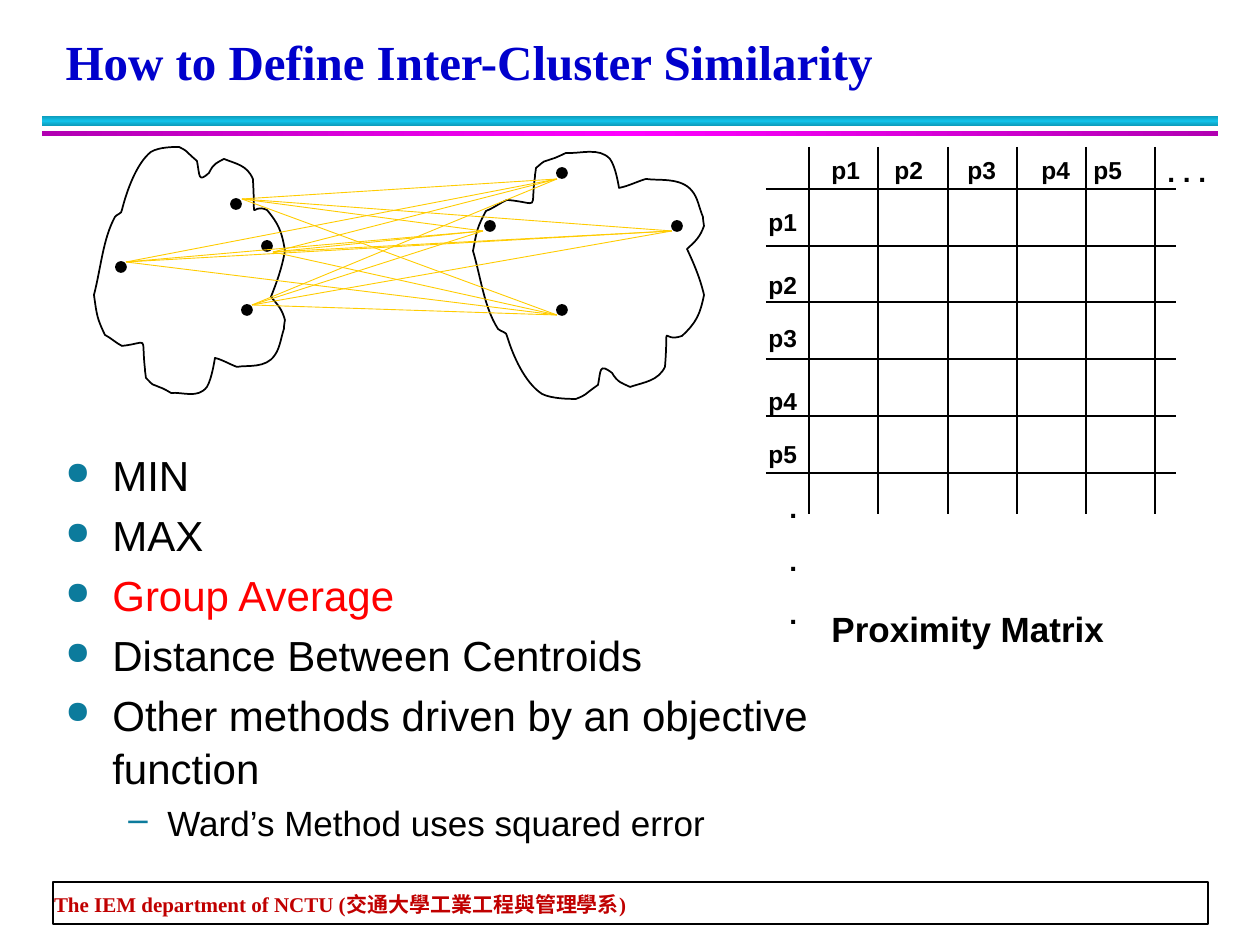
from copy import deepcopy
from dataclasses import dataclass
from itertools import product
from typing import NamedTuple

from lxml import etree
from pptx import Presentation
from pptx.dml.color import RGBColor
from pptx.enum.shapes import MSO_CONNECTOR, MSO_SHAPE
from pptx.enum.text import MSO_ANCHOR, PP_ALIGN
from pptx.oxml.ns import qn
from pptx.util import Pt

EMU_PER_PX = 914400 / 126
STRAIGHT, RECTANGLE, OVAL = MSO_CONNECTOR.STRAIGHT, MSO_SHAPE.RECTANGLE, MSO_SHAPE.OVAL
BOTTOM, LEFT = MSO_ANCHOR.BOTTOM, PP_ALIGN.LEFT
TITLE_ONLY = 5


class Style(NamedTuple):
    size: int
    color: str = "000000"
    bold: bool = True
    font: str = "Arial"


@dataclass(frozen=True)
class Theme:
    ink: str = "000000"
    paper: str = "FFFFFF"
    bullet: str = "0C7B9C"
    link: str = "FFCC00"
    cyan: tuple = ("0E9BBA", "12C2E9", "0E9BBA")
    magenta: tuple = ("B200B2", "FF00FF", "B200B2")
    title: Style = Style(28, "0000CC", font="Times New Roman")
    footer: Style = Style(12, "C00000", font="Times New Roman")
    body: Style = Style(24, bold=False)
    highlight: Style = Style(24, "FF0000", bold=False)
    sub: Style = Style(20, bold=False)
    caption: Style = Style(20)
    dots: Style = Style(16)
    label: Style = Style(14)
    leading: float = 1.05


THEME = Theme()


class Box(NamedTuple):
    left: int
    top: int
    width: int
    height: int


class BulletLevel(NamedTuple):
    char: str
    margin: int
    hanging: int
    percent: int


class Bullet(NamedTuple):
    text: str
    style: Style = THEME.body
    level: int = 0


BULLET_LEVELS = (BulletLevel("●", 47, 47, 75), BulletLevel("–", 102, 39, 100))
METHODS = (Bullet("MIN"), Bullet("MAX"), Bullet("Group Average", THEME.highlight),
           Bullet("Distance Between Centroids"),
           Bullet("Other methods driven by an objective function"),
           Bullet("Ward’s Method uses squared error", THEME.sub, 1))

# Start point, then three points (two controls and an end) for each curve.
CLUSTER_OUTLINE = (
    (115, 217), (103, 239), (101, 268), (94, 295), (97, 316), (97, 318), (105, 335),
    (111, 338), (116, 343), (122, 346), (150, 343), (141, 334), (145, 369), (145, 373),
    (146, 375), (146, 378), (155, 387), (150, 383), (159, 387), (163, 388), (171, 393),
    (171, 393), (183, 392), (198, 399), (207, 387), (212, 379), (215, 358), (215, 358),
    (223, 360), (229, 364), (237, 367), (247, 365), (266, 369), (275, 355), (280, 348),
    (281, 338), (284, 329), (284, 326), (285, 320), (285, 320), (282, 309), (278, 305),
    (271, 297), (277, 282), (282, 268), (285, 251), (282, 231), (278, 223), (267, 210),
    (249, 202), (256, 229), (253, 179), (247, 165), (236, 164), (224, 159), (217, 163),
    (214, 163), (209, 173), (198, 183), (200, 176), (197, 161), (183, 149), (189, 152),
    (179, 147), (174, 147), (159, 147), (151, 152), (137, 163), (127, 190), (122, 210),
    (122, 214), (117, 214), (115, 217))
POINT_CENTERS = ((247, 310), (236, 204), (121, 267), (267, 246),
                 (677, 226), (490, 226), (562, 310), (562, 173))
LINK_STARTS = ((252, 305), (273, 252), (126, 262), (242, 199))
LINK_ENDS = ((557, 315), (483, 231), (557, 179), (672, 231))
COLUMN_LABELS = (819, 882, 955, 1029, 1081)
ROW_LABELS = (199, 262, 315, 378, 431)


def px(value: float) -> int:
    return round(value * EMU_PER_PX)


def add_run(paragraph, text: str, style: Style) -> None:
    run = paragraph.add_run()
    run.text = text
    run.font.name, run.font.size, run.font.bold = style.font, Pt(style.size), style.bold
    run.font.color.rgb = RGBColor.from_string(style.color)


def add_frame(slide, box: Box):
    frame = slide.shapes.add_textbox(*map(px, box)).text_frame
    frame.word_wrap = True
    return frame


def next_paragraph(frame, index: int, space_before: int):
    paragraph = frame.add_paragraph() if index else frame.paragraphs[0]
    paragraph.line_spacing = THEME.leading
    paragraph.space_before = Pt(space_before if index else 0)
    return paragraph


def add_text(slide, box: Box, style: Style, *lines: str) -> None:
    frame = add_frame(slide, box)
    for index, line in enumerate(lines):
        add_run(next_paragraph(frame, index, 10), line, style)


def add_line(slide, start: tuple, end: tuple, color: str = THEME.ink, width: float = 1) -> None:
    line = slide.shapes.add_connector(STRAIGHT, *map(px, start + end))
    line.line.color.rgb, line.line.width = RGBColor.from_string(color), Pt(width)
    etree.SubElement(line._element.spPr, qn("a:effectLst"))


def outline_shape(shape) -> None:
    shape.shadow.inherit = False
    shape.line.color.rgb, shape.line.width = RGBColor.from_string(THEME.ink), Pt(1)


def add_solid(slide, kind, box: Box, fill: str) -> None:
    shape = slide.shapes.add_shape(kind, *map(px, box))
    outline_shape(shape)
    shape.fill.solid()
    shape.fill.fore_color.rgb = RGBColor.from_string(fill)


def add_gradient_bar(slide, box: Box, colors: tuple, angle: int) -> None:
    bar = slide.shapes.add_shape(RECTANGLE, *map(px, box))
    bar.shadow.inherit = False
    bar.line.fill.background()
    bar.fill.gradient()
    bar.fill.gradient_angle = angle
    stops = bar._element.spPr.find(".//" + qn("a:gsLst"))
    stops.insert(1, deepcopy(stops[0]))
    for stop, color, position in zip(bar.fill.gradient_stops, colors, (0, 0.5, 1)):
        stop.color.rgb, stop.position = RGBColor.from_string(color), position


def add_cluster(slide, outline: list) -> None:
    """Draw a closed outline, turning each three segments into one Bezier curve."""
    builder = slide.shapes.build_freeform(*outline[0], scale=EMU_PER_PX)
    builder.add_line_segments(outline[1:], close=True)
    cluster = builder.convert_to_shape()
    outline_shape(cluster)
    cluster.fill.background()
    segments = list(cluster._element.iter(qn("a:lnTo")))
    for triple in zip(segments[::3], segments[1::3], segments[2::3]):
        curve = etree.Element(qn("a:cubicBezTo"))
        triple[0].addprevious(curve)
        for segment in triple:
            curve.append(segment[0])
            segment.getparent().remove(segment)


def add_title_and_footer(slide) -> None:
    title = slide.shapes.title
    title.left, title.top, title.width, title.height = map(px, Box(53, 21, 1142, 76))
    add_solid(slide, RECTANGLE, Box(53, 882, 1155, 42), THEME.paper)
    footer = add_frame(slide, Box(54, 882, 1153, 35))
    footer.margin_left = footer.margin_right = footer.margin_top = footer.margin_bottom = 0
    for frame, text, style, leading in (
            (title.text_frame, "How to Define Inter-Cluster Similarity", THEME.title, 36),
            (footer, "The IEM department of NCTU (交通大學工業工程與管理學系)", THEME.footer, 20)):
        frame.word_wrap, frame.vertical_anchor = True, BOTTOM
        paragraph = frame.paragraphs[0]
        paragraph.alignment, paragraph.line_spacing = LEFT, Pt(leading)
        add_run(paragraph, text, style)


def add_clusters(slide) -> None:
    add_cluster(slide, list(CLUSTER_OUTLINE))
    # The right cluster is the left one, flipped top to bottom and widened.
    add_cluster(slide, [(round(473 + (x - 94) * 231 / 191), 546 - y) for x, y in CLUSTER_OUTLINE])
    for x, y in POINT_CENTERS:
        add_solid(slide, OVAL, Box(x - 5, y - 5, 10, 10), THEME.ink)
    for start, end in product(LINK_STARTS, LINK_ENDS):
        add_line(slide, start, end, THEME.link, 0.5)


def add_matrix(slide) -> None:
    for index in range(6):
        x, y = 809 + round(index * 69.3), 189 + round(index * 56.7)
        add_line(slide, (x, 147), (x, 514))
        add_line(slide, (766, y), (1176, y))
    for number, (x, y) in enumerate(zip(COLUMN_LABELS, ROW_LABELS), start=1):
        for left, top in ((x, 147), (756, y)):
            add_text(slide, Box(left, top, 73, 43), THEME.label, f"p{number}")
    add_text(slide, Box(1155, 147, 73, 47), THEME.dots, ". . .")
    add_text(slide, Box(777, 483, 73, 149), THEME.dots, ".", ".", ".")
    add_text(slide, Box(819, 599, 347, 55), THEME.caption, "Proximity Matrix")


def add_methods(slide) -> None:
    frame = add_frame(slide, Box(53, 441, 798, 431))
    for index, method in enumerate(METHODS):
        paragraph = next_paragraph(frame, index, 2)
        paragraph.level, paragraph.space_after = method.level, Pt(2)
        level = BULLET_LEVELS[method.level]
        props = paragraph._p.get_or_add_pPr()
        props.set("marL", str(px(level.margin)))
        props.set("indent", str(-px(level.hanging)))
        color = etree.SubElement(props, qn("a:buClr"))
        etree.SubElement(color, qn("a:srgbClr"), val=THEME.bullet)
        etree.SubElement(props, qn("a:buSzPct"), val=str(level.percent * 1000))
        etree.SubElement(props, qn("a:buChar"), char=level.char)
        add_run(paragraph, method.text, method.style)


deck = Presentation()
deck.slide_width, deck.slide_height = px(1260), px(945)
slide = deck.slides.add_slide(deck.slide_layouts[TITLE_ONLY])
add_gradient_bar(slide, Box(42, 116, 1176, 10), THEME.cyan, 90)
add_gradient_bar(slide, Box(42, 131, 1176, 5), THEME.magenta, 0)
for add_part in (add_title_and_footer, add_matrix, add_clusters, add_methods):
    add_part(slide)
deck.save("out.pptx")
